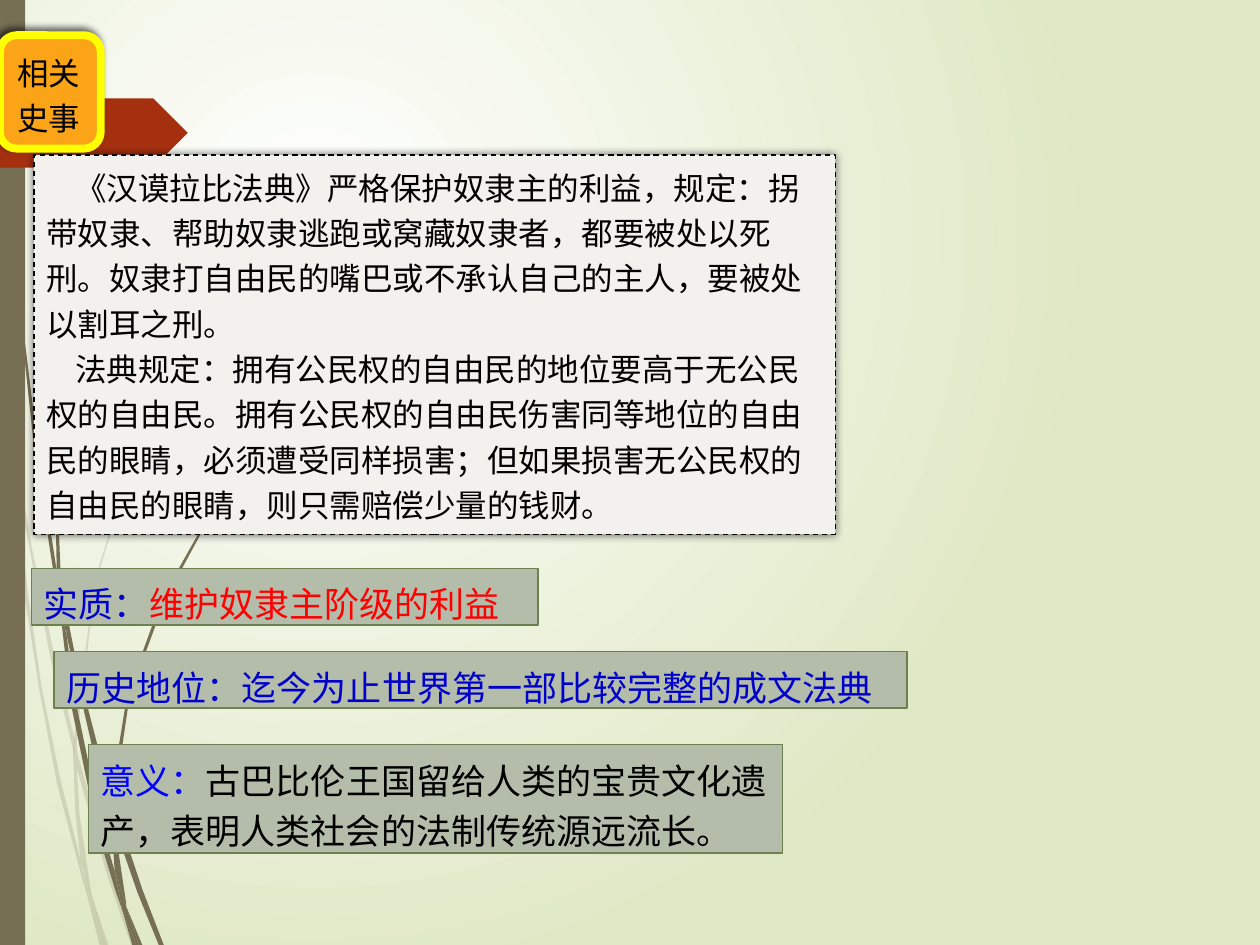
import pptx
import pptx.dml.color
import pptx.enum.dml
import pptx.enum.shapes
import pptx.enum.text
import pptx.oxml
import pptx.oxml.ns
import pptx.util

PX = 9144  # one px is a hundredth of an inch
MAIN = "http://schemas.openxmlformats.org/drawingml/2006/main"
SHAPES = pptx.enum.shapes.MSO_SHAPE

PALE_WISPS = [
    [(8, 350), (6, 322), (0, 282), (0, 299), (7, 344)],
    [(40, 522), (59, 599), (59, 586), (43, 520), (25, 433), (10, 345), (12, 376)],
    [(64, 607), (61, 596), (61, 610), (85, 694), (104, 750), (108, 750), (88, 692)],
    [(83, 750), (86, 750), (73, 711)],
    [(64, 683), (48, 619), (33, 545), (22, 469), (12, 376), (8, 350), (19, 470),
     (31, 546), (45, 621), (64, 693), (70, 714), (69, 707)],
    [(58, 599), (60, 646), (64, 683), (67, 692), (73, 711), (72, 706), (63, 646),
     (61, 610), (61, 608)],
    [(61, 584), (76, 462), (111, 349), (159, 245), (187, 198), (201, 175), (217, 154),
     (217, 153), (201, 175), (186, 197), (158, 244), (110, 348), (75, 461), (59, 584),
     (59, 586), (61, 596)],
    [(70, 714), (79, 750), (82, 750)],
    [(61, 608), (61, 610), (61, 596), (59, 586), (58, 599)],
    [(67, 692), (65, 683), (69, 707), (70, 714), (82, 750), (83, 750), (73, 711)],
]
DARK_WISPS = [
    [(5, 110), (14, 233), (27, 355), (46, 477), (47, 481), (45, 457), (45, 453),
     (30, 355), (15, 232), (6, 109), (4, 48), (3, 0), (2, 0), (3, 48)],
    [(73, 592), (88, 645), (88, 633), (88, 631), (77, 590), (62, 532), (50, 472), (53, 505)],
    [(94, 649), (91, 641), (91, 656), (109, 708), (126, 750), (130, 750), (113, 706)],
    [(91, 691), (81, 657), (60, 556), (53, 505), (47, 477), (56, 557), (77, 659),
     (92, 708), (97, 722), (96, 717)],
    [(50, 472), (48, 453), (44, 349), (48, 245), (52, 193), (58, 141), (51, 193),
     (47, 245), (43, 349), (45, 449), (49, 472)],
    [(110, 750), (113, 750), (100, 719)],
    [(47, 477), (53, 505), (50, 472), (49, 472), (45, 449), (45, 453)],
    [(91, 633), (103, 552), (131, 476), (169, 406), (191, 374), (203, 359), (216, 344),
     (215, 344), (203, 358), (191, 373), (168, 405), (129, 474), (101, 551), (88, 631),
     (91, 641)],
    [(97, 722), (105, 750), (108, 750)],
    [(88, 645), (91, 691), (96, 706), (100, 719), (100, 716), (91, 656), (90, 651)],
    [(96, 706), (91, 691), (96, 717), (97, 722), (108, 750), (110, 750), (100, 719)],
]


def color(hex_string):
    return pptx.dml.color.RGBColor.from_string(hex_string)


class SlideBuilder:
    font_name = "Noto Sans CJK SC"
    brown = "766F54"
    rust = "A53010"
    black = "000000"
    blue = "0000CC"

    def __init__(self, presentation):
        self.slide = presentation.slides.add_slide(presentation.slide_layouts[6])

    def background(self, center, edge):
        """Fill the background with a gradient that spreads from the upper left."""
        fill = self.slide.background.fill
        fill.gradient()
        for stop, position, hex_string in zip(fill.gradient_stops, (0, 1), (center, edge)):
            stop.position = position
            stop.color.rgb = color(hex_string)
        gradient = self.slide.element.find(".//" + pptx.oxml.ns.qn("a:gradFill"))
        gradient.remove(gradient.find(pptx.oxml.ns.qn("a:lin")))
        gradient.append(pptx.oxml.parse_xml(
            f'<a:path xmlns:a="{MAIN}" path="circle">'
            '<a:fillToRect l="50000" t="50000" r="100000" b="100000"/></a:path>'))

    def paint(self, shape, fill, line=None, line_width=0.75):
        shape.shadow.inherit = False
        shape.fill.solid()
        shape.fill.fore_color.rgb = color(fill)
        if line:
            shape.line.color.rgb = color(line)
            shape.line.width = pptx.util.Pt(line_width)
        else:
            shape.line.fill.background()

    def wisp(self, points, opacity):
        """Draw one grass blade; opacity is a percentage."""
        builder = self.slide.shapes.build_freeform(*points[0], scale=PX)
        builder.add_line_segments(points[1:], close=True)
        shape = builder.convert_to_shape()
        self.paint(shape, self.brown)
        if opacity < 100:
            solid = shape.element.spPr.find(pptx.oxml.ns.qn("a:solidFill"))
            solid[0].append(pptx.oxml.parse_xml(
                f'<a:alpha xmlns:a="{MAIN}" val="{opacity * 1000}"/>'))

    def shape(self, kind, box, fill, line=None, line_width=0.75):
        shape = self.slide.shapes.add_shape(kind, *(value * PX for value in box))
        self.paint(shape, fill, line, line_width)
        return shape

    def shadow(self, shape, blur, distance=0, angle=0):
        """Add a black outer shadow, with blur and distance in points."""
        effects = shape.element.spPr.find(pptx.oxml.ns.qn("a:effectLst"))
        effects.append(pptx.oxml.parse_xml(
            f'<a:outerShdw xmlns:a="{MAIN}" blurRad="{pptx.util.Pt(blur)}" '
            f'dist="{pptx.util.Pt(distance)}" dir="{angle * 60000}" rotWithShape="0">'
            '<a:srgbClr val="000000"><a:alpha val="60000"/></a:srgbClr></a:outerShdw>'))

    def text(self, shape, paragraphs, size, indent=0):
        """Write paragraphs, each a list of (text, colour) runs."""
        frame = shape.text_frame
        frame.word_wrap = True
        frame.auto_size = pptx.enum.text.MSO_AUTO_SIZE.NONE
        frame.vertical_anchor = pptx.enum.text.MSO_ANCHOR.TOP
        for index, runs in enumerate(paragraphs):
            paragraph = frame.add_paragraph() if index else frame.paragraphs[0]
            paragraph.alignment = pptx.enum.text.PP_ALIGN.LEFT
            paragraph.line_spacing = 1.2
            properties = paragraph._p.get_or_add_pPr()
            properties.set("marL", "0")
            properties.set("indent", str(indent * PX))
            properties.set("hangingPunct", "0")
            for content, hex_string in runs:
                run = paragraph.add_run()
                run.text = content
                run.font.size = pptx.util.Pt(size)
                run.font.name = self.font_name
                run.font.color.rgb = color(hex_string)
                run.font._element.append(pptx.oxml.parse_xml(
                    f'<a:ea xmlns:a="{MAIN}" typeface="{self.font_name}"/>'))

    def conclusion(self, box, runs):
        shape = self.shape(SHAPES.RECTANGLE, box, "B4BCAA", "6D804F")
        self.text(shape, [runs], 20)


def main():
    presentation = pptx.Presentation()
    presentation.slide_width = 1000 * PX
    presentation.slide_height = 750 * PX
    builder = SlideBuilder(presentation)

    builder.background("FFFFFF", "DFE8C4")
    for wisps, opacity in ((PALE_WISPS, 20), (DARK_WISPS, 100)):
        for points in wisps:
            builder.wisp(points, opacity)
    builder.shape(SHAPES.RECTANGLE, (0, 0, 20, 750), builder.brown)
    builder.shape(SHAPES.PENTAGON, (0, 78, 149, 55), builder.rust)

    code_box = builder.shape(SHAPES.RECTANGLE, (27, 123, 636, 301), "F2F1ED", builder.black)
    code_box.line.dash_style = pptx.enum.dml.MSO_LINE.DASH
    builder.shadow(code_box, 5)
    builder.text(code_box, [
        [("《汉谟拉比法典》严格保护奴隶主的利益，规定：拐带奴隶、帮助奴隶逃跑或窝藏奴隶者，"
          "都要被处以死刑。奴隶打自由民的嘴巴或不承认自己的主人，要被处以割耳之刑。",
          builder.black)],
        [("法典规定：拥有公民权的自由民的地位要高于无公民权的自由民。拥有公民权的自由民伤害"
          "同等地位的自由民的眼睛，必须遭受同样损害；但如果损害无公民权的自由民的眼睛，"
          "则只需赔偿少量的钱财。", builder.black)],
    ], 18, indent=23)

    badge = builder.shape(SHAPES.ROUNDED_RECTANGLE, (0, 28, 80, 90), "FBA417", "FFFF00", 4.5)
    builder.shadow(badge, 4, 3, 225)
    builder.text(badge, [[("相关史事", builder.black)]], 18)

    builder.conclusion((25, 451, 402, 45),
                       [("实质：", builder.blue), ("维护奴隶主阶级的利益", "FF0000")])
    builder.conclusion((70, 591, 551, 86), [
        ("意义：", "0000FF"),
        ("古巴比伦王国留给人类的宝贵文化遗产，表明人类社会的法制传统源远流长。", builder.black)])
    builder.conclusion((43, 517, 677, 45),
                       [("历史地位：迄今为止世界第一部比较完整的成文法典", builder.blue)])

    presentation.save("out.pptx")


if __name__ == "__main__":
    main()
